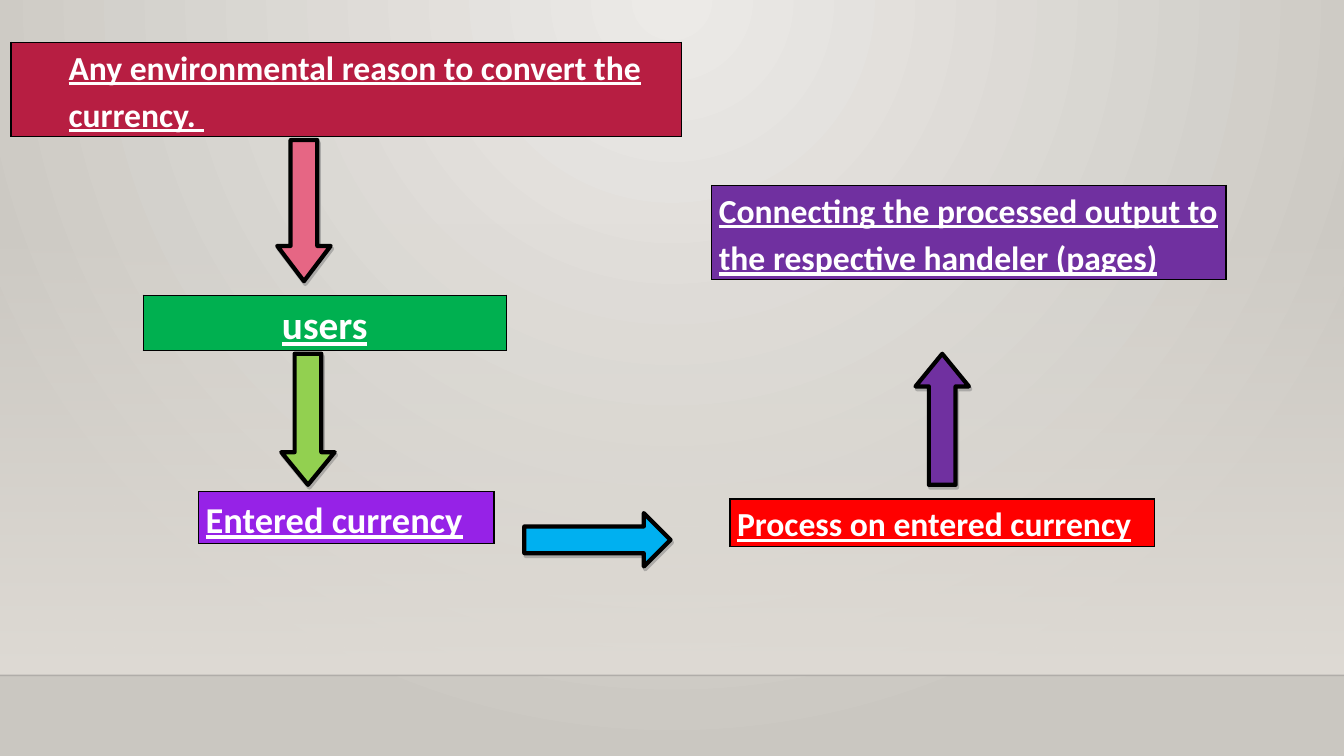
from dataclasses import dataclass

from lxml.etree import SubElement
from pptx import Presentation
from pptx.dml.color import RGBColor
from pptx.enum.shapes import MSO_CONNECTOR as CONNECTOR, MSO_SHAPE as SHAPE
from pptx.enum.text import PP_ALIGN as ALIGN
from pptx.oxml import parse_xml
from pptx.oxml.ns import nsdecls, qn
from pptx.util import Inches, Pt


@dataclass(frozen=True)
class Theme:
    font: str = "Calibri"
    text: str = "FFFFFF"
    outline: str = "000000"
    shadow: str = "7F7F7F"
    wall: tuple = ("ECEAE7", "CAC7C1")
    haze: str = "DFDBD5"
    floor_line: str = "000001"
    crimson: str = "B71E42"
    pink: str = "E66684"
    green: str = "00B050"
    lime: str = "92D050"
    violet: str = "9622E7"
    blue: str = "00B0F0"
    red: str = "FF0000"
    purple: str = "7030A0"
    body_size: int = 24
    entry_size: int = 26
    users_size: int = 28


THEME = Theme()
WIDTH, HEIGHT = 13.33, 7.5
FLOOR_TOP = 6.7
ARROW_WIDTH = 0.53


def rgb(code):
    return RGBColor.from_string(code)


def set_alpha(color_element, percent):
    SubElement(color_element, qn("a:alpha")).set("val", str(percent * 1000))


def paint_stops(fill, colors):
    fill.gradient()
    for stop, color in zip(fill.gradient_stops, colors):
        stop.color.rgb = rgb(color)


def add_backdrop(slide):
    # Radial wall gradient
    paint_stops(slide.background.fill, THEME.wall)
    gradient = slide.element.find(".//" + qn("a:gradFill"))
    gradient.replace(gradient.find(qn("a:lin")), parse_xml(
        f'<a:path {nsdecls("a")} path="circle">'
        '<a:fillToRect l="43000" t="0" r="43000" b="100000"/></a:path>'))

    # Haze that thickens towards the floor
    haze = slide.shapes.add_shape(
        SHAPE.RECTANGLE, 0, Inches(2.21), Inches(WIDTH), Inches(FLOOR_TOP - 2.21))
    haze.shadow.inherit = False
    haze.line.fill.background()
    paint_stops(haze.fill, (THEME.haze, THEME.haze))
    haze.fill.gradient_angle = 270
    set_alpha(haze.element.find(".//" + qn("a:gs") + "/" + qn("a:srgbClr")), 0)

    # Floor edge
    floor = slide.shapes.add_connector(
        CONNECTOR.STRAIGHT, 0, Inches(FLOOR_TOP), Inches(WIDTH), Inches(FLOOR_TOP))
    floor.line.width = Pt(1)
    floor.line.color.rgb = rgb(THEME.floor_line)
    set_alpha(floor.element.find(".//" + qn("a:srgbClr")), 20)
    SubElement(floor.element.spPr, qn("a:effectLst"))


def add_borders(cell):
    properties = cell.fill and cell._tc.get_or_add_tcPr()
    for index, side in enumerate(("lnL", "lnR", "lnT", "lnB")):
        properties.insert(index, parse_xml(
            f'<a:{side} {nsdecls("a")} w="12700"><a:solidFill>'
            f'<a:srgbClr val="{THEME.outline}"/></a:solidFill></a:{side}>'))


def add_step(slide, text, box, color, size=THEME.body_size, align=ALIGN.LEFT, indent=0):
    table = slide.shapes.add_table(1, 1, *map(Inches, box)).table
    table.first_row = table.horz_banding = False
    cell = table.cell(0, 0)
    cell.fill.solid()
    cell.fill.fore_color.rgb = rgb(color)
    add_borders(cell)
    margins = {"margin_left": 0.07, "margin_right": 0.07,
               "margin_top": 0, "margin_bottom": 0}
    for name, value in margins.items():
        setattr(cell, name, Inches(value))

    paragraph = cell.text_frame.paragraphs[0]
    spacing = {"alignment": align, "line_spacing": 1.15, "space_after": Pt(10)}
    for name, value in spacing.items():
        setattr(paragraph, name, value)
    if indent:
        paragraph._p.get_or_add_pPr().set("marL", str(Inches(indent)))
    run = paragraph.add_run()
    run.text = text
    lettering = {"name": THEME.font, "size": Pt(size), "bold": True, "underline": True}
    for name, value in lettering.items():
        setattr(run.font, name, value)
    run.font.color.rgb = rgb(THEME.text)


def add_arrow(slide, left, top, length, head, color, rotation=0):
    arrow = slide.shapes.add_shape(
        SHAPE.DOWN_ARROW, Inches(left), Inches(top), Inches(ARROW_WIDTH), Inches(length))
    arrow.rotation = rotation
    arrow.adjustments[0] = 0.5
    arrow.adjustments[1] = head
    arrow.fill.solid()
    arrow.fill.fore_color.rgb = rgb(color)
    arrow.line.color.rgb = rgb(THEME.outline)
    arrow.line.width = Pt(3)
    arrow.shadow.inherit = False
    effects = arrow.element.spPr.find(qn("a:effectLst"))
    effects.append(parse_xml(
        f'<a:outerShdw {nsdecls("a")} dist="{Pt(2.2)}" dir="{63 * 60000}" '
        f'rotWithShape="0"><a:srgbClr val="{THEME.shadow}">'
        '<a:alpha val="50000"/></a:srgbClr></a:outerShdw>'))


def main():
    deck = Presentation()
    deck.slide_width, deck.slide_height = Inches(WIDTH), Inches(HEIGHT)
    slide = deck.slides.add_slide(deck.slide_layouts[6])
    add_backdrop(slide)

    # Left column: from the reason to the entered currency
    add_step(slide, "Any environmental reason to convert the currency. ",
             (0.11, 0.42, 6.65, 0.92), THEME.crimson, indent=0.5)
    add_arrow(slide, 2.75, 1.39, 1.4, 0.66, THEME.pink)
    add_step(slide, "users", (1.42, 2.93, 3.6, 0.54), THEME.green,
             THEME.users_size, ALIGN.CENTER)
    add_arrow(slide, 2.79, 3.51, 1.3, 0.61, THEME.lime)
    add_step(slide, "Entered currency", (1.97, 4.88, 2.93, 0.5), THEME.violet,
             THEME.entry_size)

    # Right column: processing and hand-over to the pages
    add_arrow(slide, 5.66, 4.63, 1.45, 0.5, THEME.blue, rotation=270)
    add_step(slide, "Process on entered currency", (7.24, 4.95, 4.21, 0.46), THEME.red)
    add_arrow(slide, 9.08, 3.51, 1.3, 0.61, THEME.purple, rotation=180)
    add_step(slide, "Connecting the processed output to the respective handeler (pages)",
             (7.06, 1.84, 5.1, 0.92), THEME.purple)

    deck.save("out.pptx")


if __name__ == "__main__":
    main()
